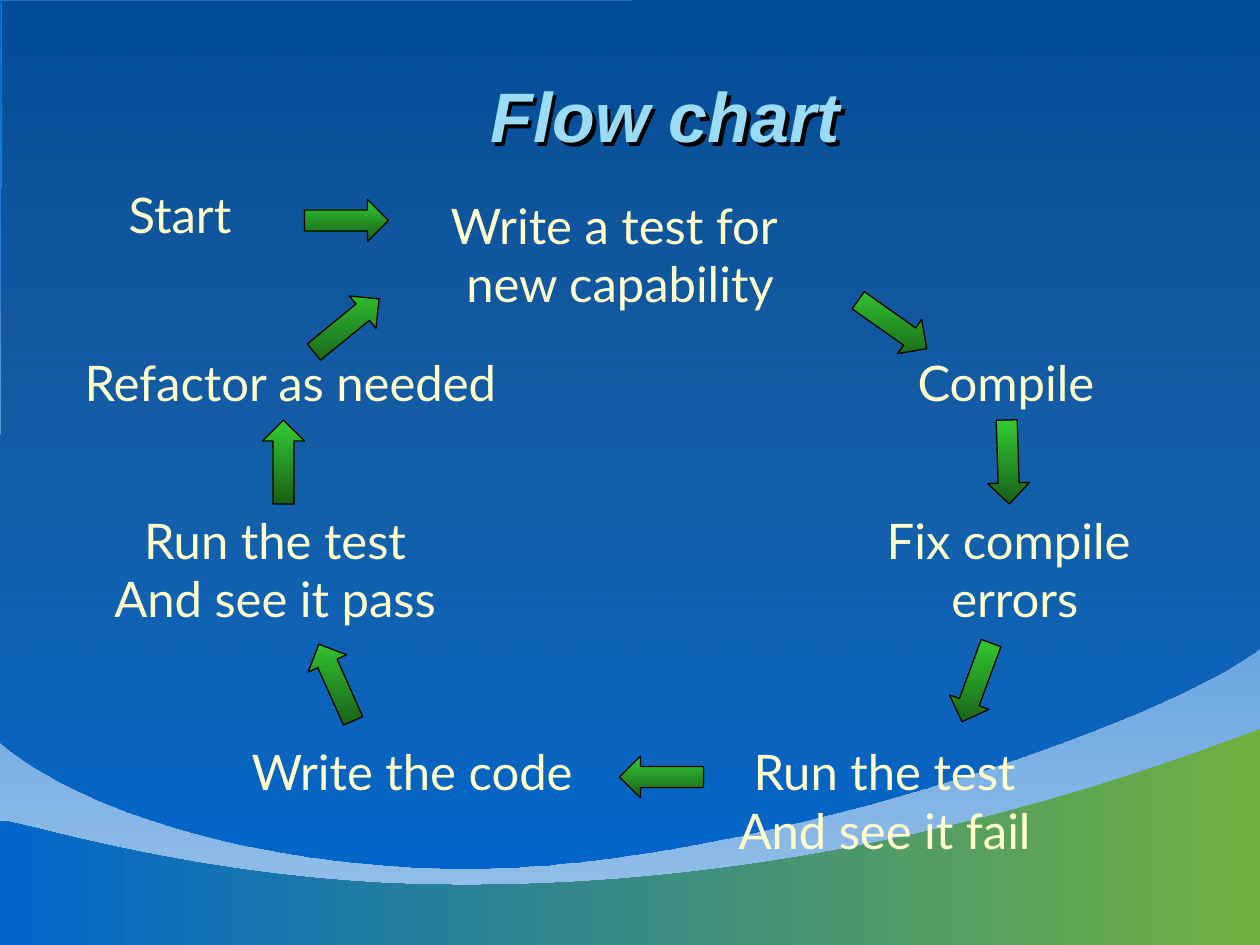
import pptx
import pptx.dml.color
import pptx.enum.shapes
import pptx.enum.text
import pptx.util
from lxml import etree
from pptx.oxml.ns import qn

RGBColor = pptx.dml.color.RGBColor
BLUE = RGBColor(0x00, 0x66, 0xCC)
PALE_BLUE = RGBColor(0x9A, 0xC2, 0xEA)
NAVY = RGBColor(0x00, 0x2F, 0x5E)
GRASS = RGBColor(0x70, 0xB0, 0x40)
TITLE_BLUE = RGBColor(0x9A, 0xDC, 0xF6)
CREAM = RGBColor(0xFF, 0xFF, 0xCC)
GREEN = RGBColor(0x33, 0xCC, 0x33)
DARK_GREEN = RGBColor(0x17, 0x5E, 0x17)
BLACK = RGBColor(0x00, 0x00, 0x00)

COLUMNS, ROWS = 120, 90
CELL = pptx.util.Inches(10) // COLUMNS
ARROW_SIZE = (8, 4)

# Centre column, top row, width in columns, lines
STEPS = [
    (59.05, 18, 36.1, ["Write a test for ", "new capability"]),
    (17.15, 17, 12.8, ["Start"]),
    (95.8, 33, 20.4, ["Compile"]),
    (96.65, 48, 28.2, ["Fix compile ", "errors"]),
    (84.25, 70, 31.7, ["Run the test", "And see it fail"]),
    (39.25, 70, 34.3, ["Write the code"]),
    (26.2, 48, 35, ["Run the test", "And see it pass"]),
    (27.65, 33, 44.5, ["Refactor as needed"]),
]

# Left column, top row, rotation
ARROWS = [
    (81, 28.9, 35.2), (92, 42, 88.2), (89, 63, 110.3), (59, 72, 180),
    (28, 63, 245.9), (23, 42, 269.9), (29, 19, 0), (29, 29, 320.7),
]

# Inches: a start point, then two curves of three points each, then corners
SKY = [(0, 5.89), (0.12, 6.01), (1.11, 6.79), (3.44, 6.89),
       (5.76, 6.99), (9.38, 5.69), (10.03, 5.12),
       (10.03, 0), (0.01, 0.01), (0.02, 0.03)]
HILL = [(0, 6.52), (0.03, 6.47), (1.3, 6.92), (3.06, 7.01),
        (4.82, 7.09), (7.23, 6.86), (10.01, 5.78),
        (10, 7.53), (-0.02, 7.52)]
CURVES = 2


def grid(cells):
    return round(cells * CELL)


def fill_gradient(fill, first, last, angle):
    fill.gradient()
    fill.gradient_angle = angle
    for stop, color, position in zip(fill.gradient_stops, (first, last), (0, 1)):
        stop.color.rgb = color
        stop.position = position


def bend_edges(shape):
    """Turn the first straight edges, three at a time, into cubic curves."""
    lines = list(shape._element.iter(qn("a:lnTo")))
    for start in range(0, 3 * CURVES, 3):
        first, *others = lines[start:start + 3]
        curve = etree.Element(qn("a:cubicBezTo"))
        first.addprevious(curve)
        for line in (first, *others):
            curve.append(line[0])
            line.getparent().remove(line)


def add_wave(slide, outline, first, last, angle):
    vertices = [(pptx.util.Inches(x), pptx.util.Inches(y)) for x, y in outline]
    builder = slide.shapes.build_freeform(*vertices[0])
    builder.add_line_segments(vertices[1:], close=True)
    shape = builder.convert_to_shape()
    bend_edges(shape)
    shape.shadow.inherit = False
    shape.line.fill.background()
    fill_gradient(shape.fill, first, last, angle)
    return shape


def add_text(slide, left, top, width, height, lines, size, font_name, color):
    box = slide.shapes.add_textbox(grid(left), grid(top), grid(width), grid(height))
    for number, line in enumerate(lines):
        frame = box.text_frame
        paragraph = frame.paragraphs[0] if number == 0 else frame.add_paragraph()
        paragraph.alignment = pptx.enum.text.PP_ALIGN.CENTER
        run = paragraph.add_run()
        run.text = line
        run.font.size = pptx.util.Pt(size)
        run.font.name = font_name
        run.font.color.rgb = color
    return box


def add_title(slide, text):
    box = add_text(slide, 6.7, 6, 113.3, 9.8, [text], 40, "Arial", TITLE_BLUE)
    box.text_frame.word_wrap = True
    box.text_frame.vertical_anchor = pptx.enum.text.MSO_ANCHOR.MIDDLE
    font = box.text_frame.paragraphs[0].runs[0].font
    font.bold = font.italic = True
    effects = etree.SubElement(box._element.spPr, qn("a:effectLst"))
    shadow = etree.SubElement(effects, qn("a:outerShdw"), dist="38100", dir="2700000")
    etree.SubElement(shadow, qn("a:srgbClr"), val=str(BLACK))


def add_step(slide, center, top, width, lines):
    height = 1.2 + 5.64 * len(lines)
    box = add_text(slide, center - width / 2, top, width, height, lines, 28, "Lato", CREAM)
    box.text_frame.word_wrap = False
    box.text_frame.auto_size = pptx.enum.text.MSO_AUTO_SIZE.SHAPE_TO_FIT_TEXT


def add_arrow(slide, left, top, rotation):
    shape = slide.shapes.add_shape(
        pptx.enum.shapes.MSO_SHAPE.RIGHT_ARROW,
        grid(left), grid(top), *map(grid, ARROW_SIZE))
    shape.rotation = rotation
    shape.shadow.inherit = False
    shape.line.color.rgb = BLACK
    shape.line.width = pptx.util.Pt(0.75)
    fill_gradient(shape.fill, GREEN, DARK_GREEN, 270)
    # The light comes from above whichever way the arrow points
    shape._element.spPr.find(qn("a:gradFill")).set("rotWithShape", "0")


def main():
    presentation = pptx.Presentation()
    presentation.slide_width = grid(COLUMNS)
    presentation.slide_height = grid(ROWS)
    slide = presentation.slides.add_slide(presentation.slide_layouts[6])
    fill_gradient(slide.background.fill, BLUE, PALE_BLUE, 270)

    sky = add_wave(slide, SKY, NAVY, BLUE, 270)
    first_color = sky._element.spPr.find(".//" + qn("a:srgbClr"))
    etree.SubElement(first_color, qn("a:alpha"), val="46000")
    add_wave(slide, HILL, GRASS, BLUE, 180)

    add_title(slide, "Flow chart")
    for step in STEPS:
        add_step(slide, *step)
    for arrow in ARROWS:
        add_arrow(slide, *arrow)
    presentation.save("out.pptx")


if __name__ == "__main__":
    main()
